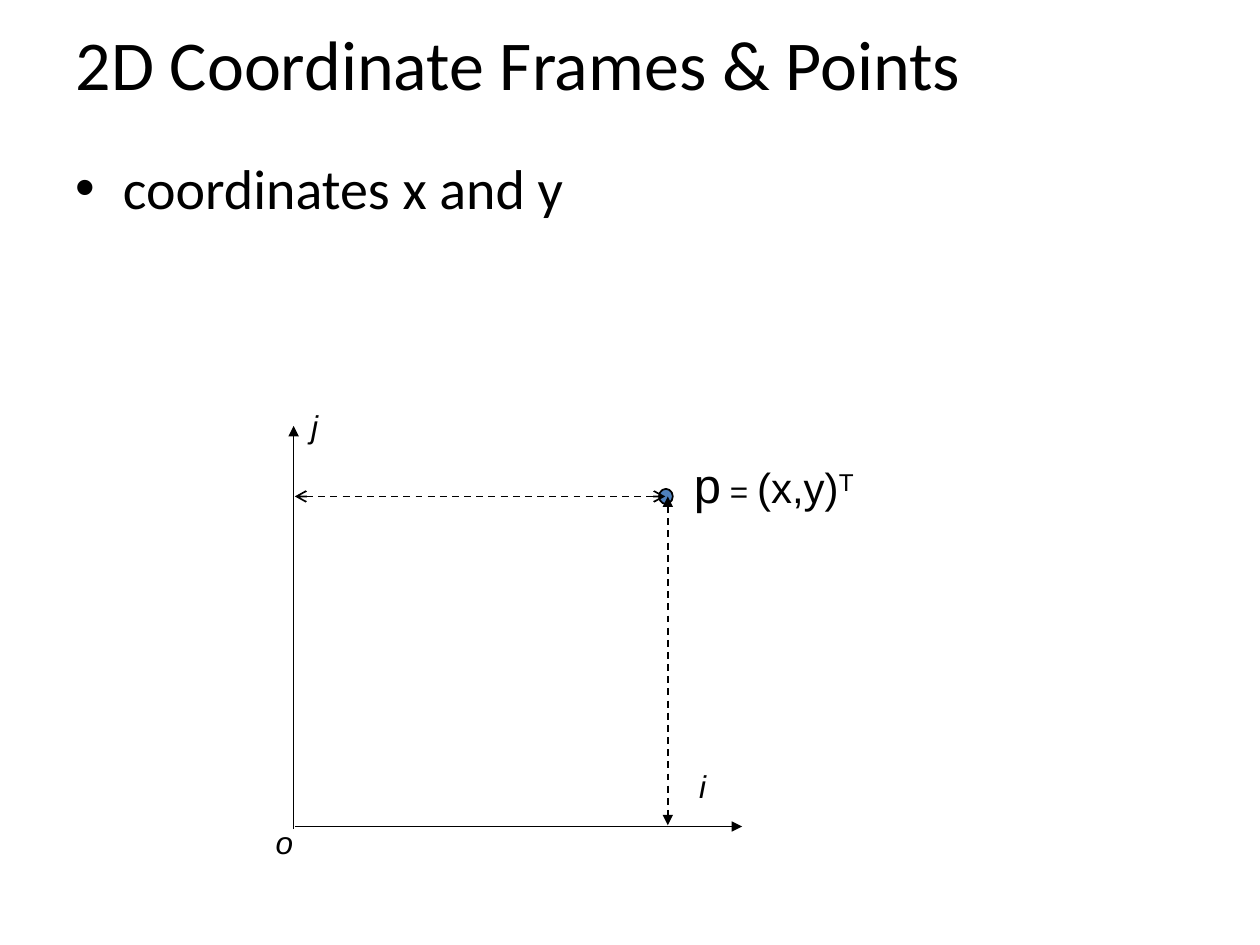
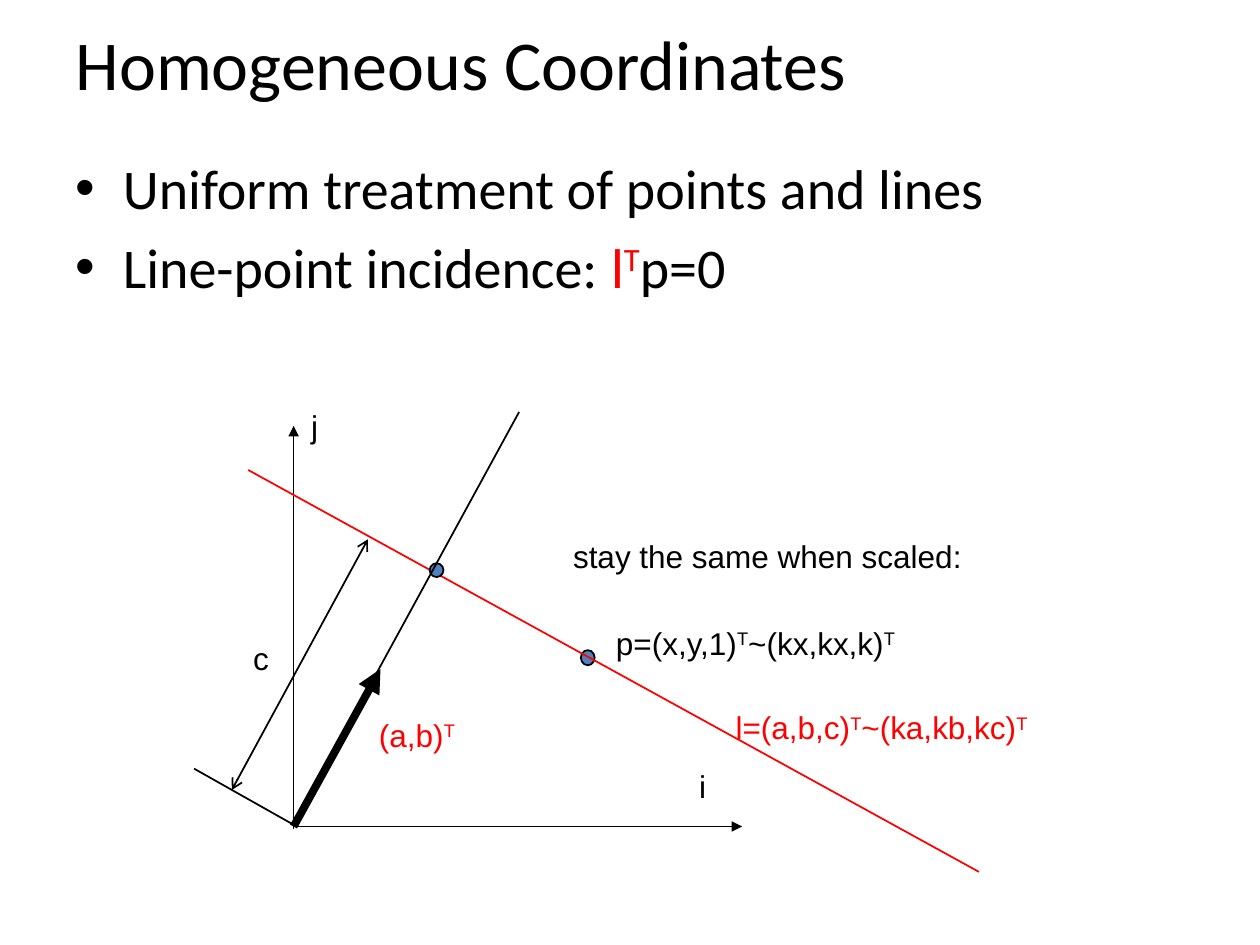
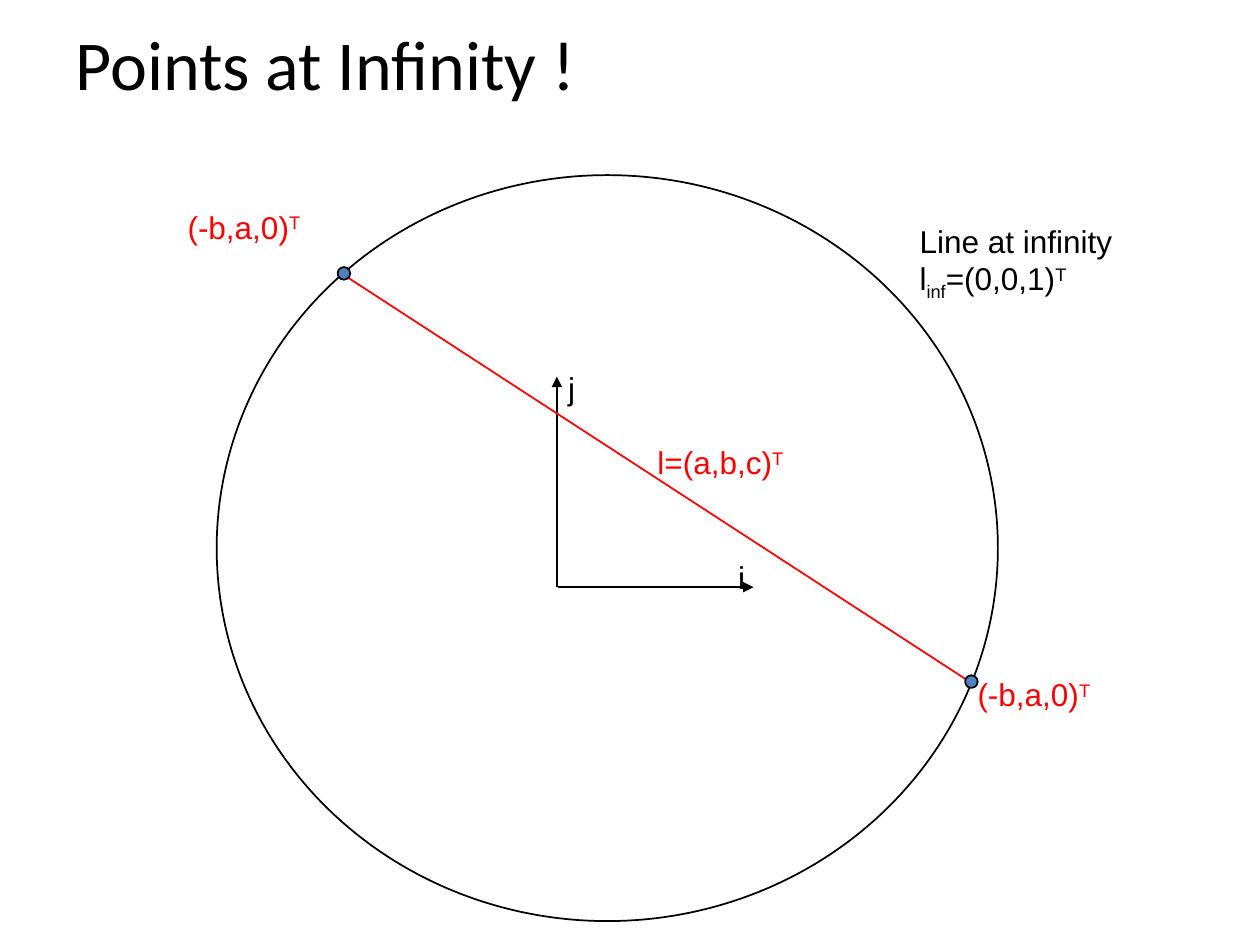
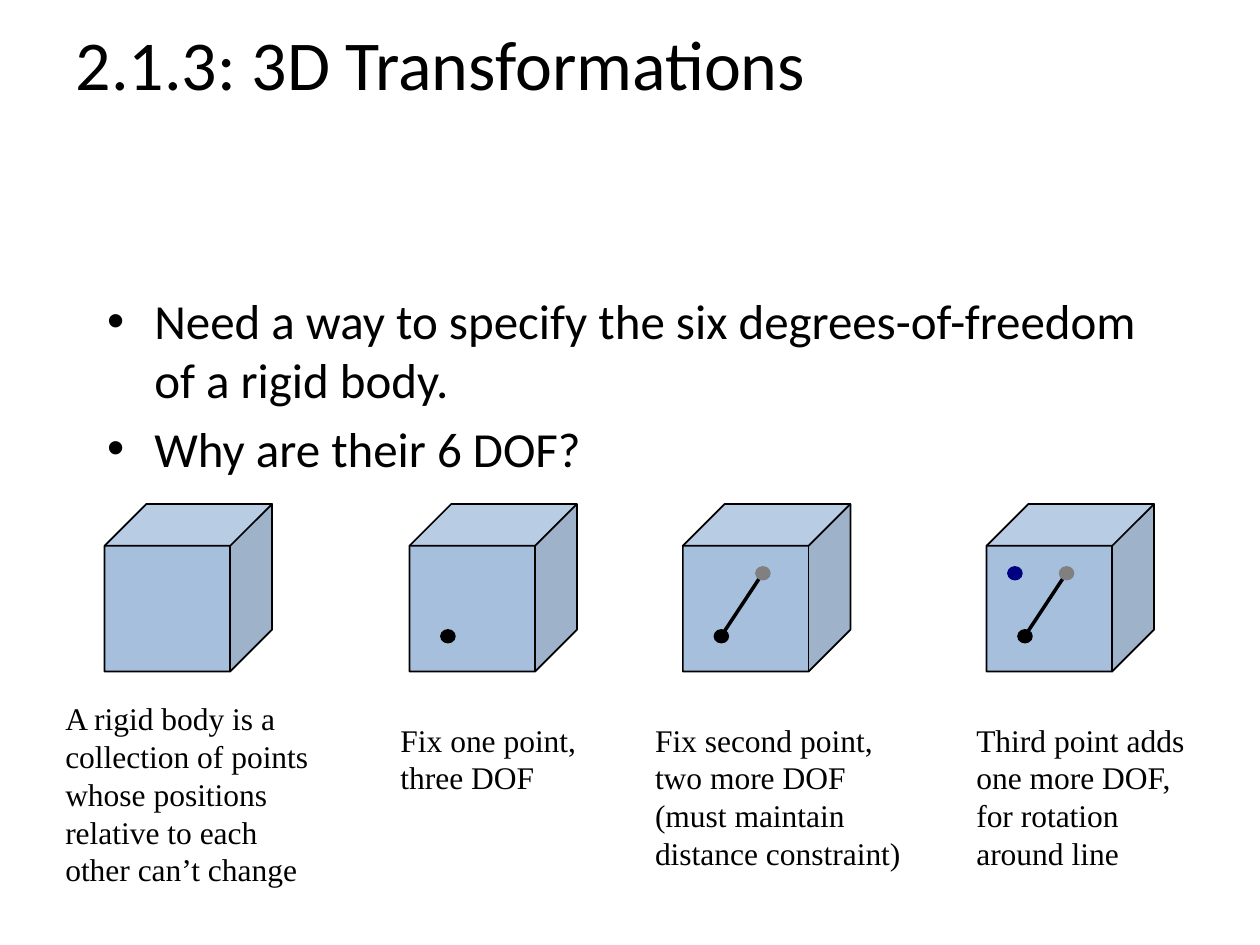
"""Build four slides on 2D coordinate frames, homogeneous coordinates and 3D transformations."""
from dataclasses import dataclass

from lxml.etree import SubElement
from pptx import Presentation
from pptx.dml.color import RGBColor as RGB
from pptx.enum.dml import MSO_LINE
from pptx.enum.shapes import MSO_CONNECTOR, MSO_SHAPE as SHAPE
from pptx.enum.text import MSO_ANCHOR, MSO_AUTO_SIZE as FIT, PP_ALIGN
from pptx.oxml.ns import qn
from pptx.util import Inches, Pt


@dataclass(frozen=True)
class Theme:
    """Colours, fonts and type sizes of the deck."""
    black: RGB = RGB(0x00, 0x00, 0x00)
    red: RGB = RGB(0xFF, 0x00, 0x00)
    blue: RGB = RGB(0x4F, 0x81, 0xBD)
    gray: RGB = RGB(0x80, 0x80, 0x80)
    navy: RGB = RGB(0x00, 0x00, 0x80)
    heading: str = "Calibri"
    label: str = "Arial"
    caption: str = "Times New Roman"
    title_size: int = 40
    body_size: int = 32
    small_body_size: int = 28
    label_size: int = 18


T = Theme()
BASELINES = {"T": "30000", "inf": "-25000"}


def write(p, text, font, size, color=T.black, italic=False, sizes={}, colors={}):
    """Write the pieces of text between bars as runs, raising or lowering indices."""
    for piece in text.split("|"):
        r = p.add_run()
        r.text = piece
        r.font.name = font
        r.font.size = Pt(sizes.get(piece, size))
        r.font.color.rgb = colors.get(piece, color)
        if italic:
            r.font.italic = True
        if piece in BASELINES:
            r.font.element.set("baseline", BASELINES[piece]) if hasattr(r.font, "element") else \
                r._r.get_or_add_rPr().set("baseline", BASELINES[piece])


def axes(i_axis, j_axis, i_at, j_at, italic=False):
    """Return the two arrows of a coordinate frame and their labels."""
    return [
        ("line", i_axis, dict(tail="triangle")),
        ("line", j_axis, dict(tail="triangle")),
        ("text", (*i_at, 0.29, 0.5), dict(text="i", italic=italic)),
        ("text", (*j_at, 0.32, 0.5), dict(text="j", italic=italic)),
    ]


prs = Presentation()
prs.slide_width, prs.slide_height = Inches(10), Inches(7.5)
unit = prs.slide_width / 10

large_axes = ((2.34, 6.56, 5.89, 6.56), (2.33, 6.58, 2.33, 3.38), (5.45, 6.04), (2.37, 3.18))
blue_dot = dict(kind=SHAPE.OVAL, fill=T.blue)

point_items = axes(*large_axes, italic=True) + [
    ("shape", (5.23, 3.88, 0.11, 0.12), blue_dot),
    ("text", (5.41, 3.56, 1.5, 0.57),
     dict(text="p| = |(x,y)|T", sizes={"p": 28, "(x,y)": 24, "T": 24})),
    ("line", (2.34, 3.94, 5.28, 3.94), dict(head="arrow", tail="arrow", dashed=True)),
    ("line", (5.3, 3.94, 5.3, 6.55), dict(head="triangle", tail="triangle", dashed=True)),
    ("text", (2.09, 6.48, 0.4, 0.5), dict(text="o", italic=True)),
]

line_items = axes(*large_axes) + [
    ("shape", (4.61, 5.16, 0.11, 0.12), blue_dot),
    ("text", (4.79, 4.9, 3.91, 0.5), dict(text="p=(x,y,1)|T|~(kx,kx,k)|T")),
    ("line", (1.97, 3.73, 7.77, 6.92), dict(color=T.red)),
    ("line", (2.33, 6.56, 3.02, 5.31), dict(width=4.5, tail="triangle")),
    ("shape", (3.41, 4.47, 0.11, 0.11), blue_dot),
    ("text", (2.91, 5.63, 1.17, 0.5), dict(text="(a,b)|T", color=T.red)),
    ("line", (2.33, 6.55, 4.12, 3.27), {}),
    ("line", (2.92, 4.28, 1.84, 6.27), dict(head="arrow", tail="arrow")),
    ("line", (1.54, 6.1, 2.32, 6.54), {}),
    ("text", (1.91, 5.02, 0.38, 0.5), dict(text="c")),
    ("text", (5.74, 5.57, 3.96, 0.5), dict(text="l=(a,b,c)|T|~(ka,kb,kc)|T", color=T.red)),
    ("text", (4.45, 4.21, 4.9, 0.5), dict(text="stay the same when scaled:")),
]

infinity_items = [
    ("shape", (1.72, 1.39, 6.2, 5.92), dict(kind=SHAPE.OVAL)),
    *axes((4.43, 4.66, 5.98, 4.66), (4.42, 4.66, 4.42, 2.99), (5.76, 4.38), (4.41, 2.88)),
    ("line", (2.71, 2.17, 7.71, 5.42), dict(color=T.red)),
    ("text", (5.12, 3.47, 1.83, 0.5), dict(text="l=(a,b,c)|T", color=T.red)),
    ("text", (7.2, 1.71, 2.6, 0.9), dict(text="Line at infinity\nl|inf|=(0,0,1)|T")),
]
for dot_at, label_at in (((7.66, 5.36), (7.66, 5.31)), ((2.68, 2.12), (1.39, 1.6))):
    infinity_items += [
        ("shape", (*dot_at, 0.1, 0.1), blue_dot),
        ("text", (*label_at, 1.65, 0.5), dict(text="(-b,a,0)|T", color=T.red)),
    ]

steps = [
    (0.83, (0.42, 5.5, 2.13, 1.6), "A rigid body is a\ncollection of points\nwhose positions\n"
                                   "relative to each\nother can’t change"),
    (3.25, (3.08, 5.67, 1.6, 0.7), "Fix one point,\nthree DOF"),
    (5.42, (5.1, 5.67, 2.15, 1.3), "Fix second point,\ntwo more DOF\n(must maintain\n"
                                   "distance constraint)"),
    (7.83, (7.65, 5.67, 1.85, 1.3), "Third point adds\none more DOF,\nfor rotation\naround line"),
]
cube_items = []
for fixed_points, (left, caption_box, caption) in enumerate(steps):
    cube_items.append(("shape", (left, 4, 1.33, 1.33),
                       dict(kind=SHAPE.CUBE, fill=T.blue, alpha=50)))
    if fixed_points >= 2:
        cube_items.append(("line", (left + 0.29, 5.07, left + 0.64, 4.54), dict(width=2)))
    points = [(0.25, 5, T.black), (0.58, 4.5, T.gray), (0.17, 4.5, T.navy)]
    for dx, top, color in points[:fixed_points]:
        cube_items.append(("shape", (left + dx, top, 0.11, 0.1),
                           dict(kind=SHAPE.OVAL, fill=color, color=color)))
    cube_items.append(("text", caption_box, dict(text=caption, font=T.caption)))

body_box, low_body_box = (0.5, 1.08, 9, 5.62), (0.75, 2.18, 8.5, 1.91)
slides = [
    ("2D Coordinate Frames & Points", body_box, T.body_size,
     ["coordinates x and y"], point_items),
    ("Homogeneous Coordinates", body_box, T.body_size,
     ["Uniform treatment of points and lines", "Line-point incidence: |l|T|p=0"], line_items),
    ("Points at Infinity !", None, None, [], infinity_items),
    ("2.1.3: 3D Transformations", low_body_box, T.small_body_size,
     ["Need a way to specify the six degrees-of-freedom of a rigid body.",
      "Why are their 6 DOF?"], cube_items),
]

for title, bullet_box, bullet_size, bullets, items in slides:
    s = prs.slides.add_slide(prs.slide_layouts[1 if bullets else 5])
    sp = s.shapes.title
    sp.left, sp.top, sp.width, sp.height = [round(v * unit) for v in (0.5, 0, 9, 1)]
    tf = sp.text_frame
    tf.auto_size = FIT.NONE
    tf.vertical_anchor = MSO_ANCHOR.MIDDLE
    tf.paragraphs[0].alignment = PP_ALIGN.LEFT
    write(tf.paragraphs[0], title, T.heading, T.title_size)

    if bullets:
        sp = s.placeholders[1]
        sp.left, sp.top, sp.width, sp.height = [round(v * unit) for v in bullet_box]
        tf = sp.text_frame
        tf.auto_size = FIT.NONE
        tf.margin_top = Inches(0.05) + Pt(0.2 * bullet_size)
        tf.text = "\n" * (len(bullets) - 1)
        tf.paragraphs[0].space_before = Pt(0)
        for p, bullet in zip(tf.paragraphs, bullets):
            write(p, bullet, T.heading, bullet_size, colors={"l": T.red, "T": T.red})

    for item, place, look in items:
        box = [round(v * unit) for v in place]
        if item == "text":
            tf = s.shapes.add_textbox(*box).text_frame
            tf.word_wrap = False
            tf.auto_size = FIT.SHAPE_TO_FIT_TEXT
            rows = look["text"].split("\n")
            tf.text = "\n" * (len(rows) - 1)
            for p, row in zip(tf.paragraphs, rows):
                write(p, row, look.get("font", T.label), T.label_size,
                      look.get("color", T.black), look.get("italic", False),
                      look.get("sizes", {}))
            continue
        if item == "line":
            sp = s.shapes.add_connector(MSO_CONNECTOR.STRAIGHT, *box)
        else:
            sp = s.shapes.add_shape(look["kind"], *box)
            sp.shadow.inherit = False
            if "fill" in look:
                sp.fill.solid()
                sp.fill.fore_color.rgb = look["fill"]
            else:
                sp.fill.background()
            if "alpha" in look:
                tint = sp.element.spPr.find(qn("a:solidFill")).find(qn("a:srgbClr"))
                SubElement(tint, qn("a:alpha")).set("val", str(look["alpha"] * 1000))
        sp.line.color.rgb = look.get("color", T.black)
        sp.line.width = Pt(look.get("width", 1))
        if item == "line":
            if look.get("dashed"):
                sp.line.dash_style = MSO_LINE.DASH
            ln = sp.element.spPr.find(qn("a:ln"))
            for end in ("head", "tail"):
                if end in look:
                    SubElement(ln, qn(f"a:{end}End")).set("type", look[end])
            SubElement(sp.element.spPr, qn("a:effectLst"))

prs.save("out.pptx")
